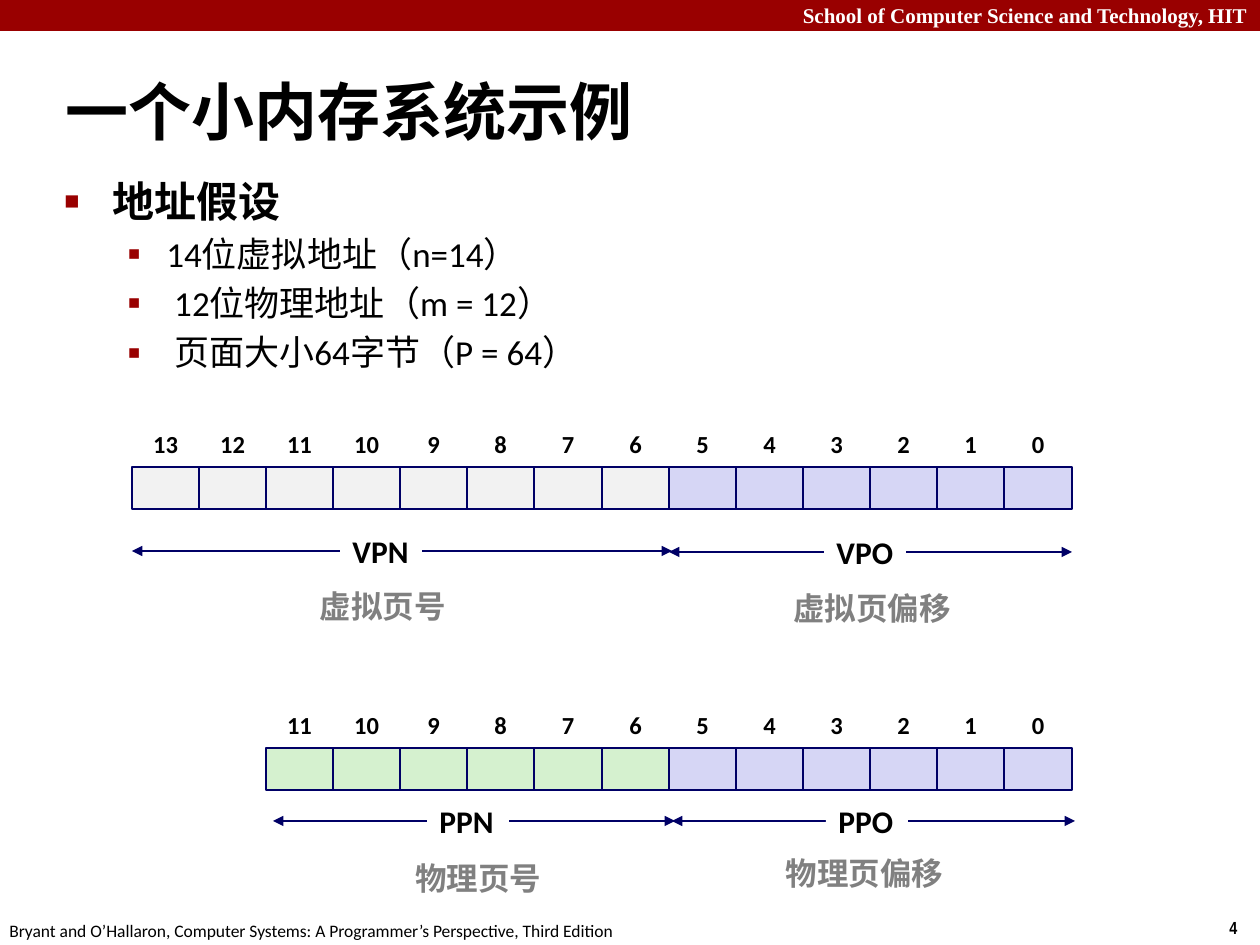
import dataclasses

import pptx
import pptx.dml.color
import pptx.enum.shapes
import pptx.enum.text
import pptx.oxml
import pptx.oxml.ns
import pptx.util

EMU_PER_PX = 914400 / 126
ALIGN = pptx.enum.text.PP_ALIGN
ANCHOR = pptx.enum.text.MSO_ANCHOR
FIT = pptx.enum.text.MSO_AUTO_SIZE


@dataclasses.dataclass(frozen=True)
class Theme:
    font: str = "Calibri"
    header_font: str = "Times New Roman"
    number_font: str = "Arial Narrow"
    red: str = "990000"
    white: str = "FFFFFF"
    ink: str = "000000"
    navy: str = "000066"
    muted: str = "808080"
    grey_cell: str = "F2F2F2"
    blue_cell: str = "D6D6F5"
    green_cell: str = "D5F1CF"
    title: int = 36
    heading: int = 24
    item: int = 20
    label: int = 18
    bit: int = 14
    header: int = 12
    footer: int = 10


def px(length):
    return pptx.util.Emu(round(length * EMU_PER_PX))


def rgb(color):
    return pptx.dml.color.RGBColor.from_string(color)


def xml(tag, **attributes):
    """Make one element of the DrawingML namespace."""
    element = pptx.oxml.parse_xml(f"<a:{tag} {pptx.oxml.ns.nsdecls('a')}/>")
    for name, value in attributes.items():
        element.set(name, str(value))
    return element


def write(para, text, *, size, color, font, bold=False, align=ALIGN.LEFT,
          before=None, spacing=None):
    para.alignment = align
    if before is not None:
        para.space_before = pptx.util.Pt(before)
    if spacing is not None:
        para.line_spacing = spacing
    span = para.add_run()
    span.text = text
    span.font.size = pptx.util.Pt(size)
    span.font.bold = bold
    span.font.name = font
    span.font.color.rgb = rgb(color)


def bullet(para, mark, percent, color, left, hang):
    """Give a paragraph a hanging bullet and space above of 20 % of a line."""
    props = para._p.get_or_add_pPr()
    props.set("marL", str(px(left)))
    props.set("indent", str(-px(hang)))
    before = xml("spcBef")
    before.append(xml("spcPct", val=20000))
    tint = xml("buClr")
    tint.append(xml("srgbClr", val=color))
    props.extend([before, tint, xml("buSzPct", val=percent * 1000),
                  xml("buFont", typeface="Arial"), xml("buChar", char=mark)])


class Painter:
    def __init__(self, page, theme):
        self.page = page
        self.theme = theme

    def rect(self, left, top, width, height, fill, line=None, shapes=None):
        shape = (shapes or self.page.shapes).add_shape(
            pptx.enum.shapes.MSO_SHAPE.RECTANGLE,
            px(left), px(top), px(width), px(height))
        shape.shadow.inherit = False
        shape.fill.solid()
        shape.fill.fore_color.rgb = rgb(fill)
        if line:
            shape.line.color.rgb = rgb(line)
            shape.line.width = pptx.util.Pt(0.75)
        else:
            shape.line.fill.background()
        return shape

    def frame(self, shape, wrap=False, fit=FIT.SHAPE_TO_FIT_TEXT, anchor=ANCHOR.TOP):
        frame = shape.text_frame
        frame.word_wrap = wrap
        frame.auto_size = fit
        frame.vertical_anchor = anchor
        return frame

    def text(self, left, top, width, height, text, *, wrap=False,
             fit=FIT.SHAPE_TO_FIT_TEXT, anchor=ANCHOR.TOP, **style):
        box = self.page.shapes.add_textbox(px(left), px(top), px(width), px(height))
        frame = self.frame(box, wrap, fit, anchor)
        write(frame.paragraphs[0], text, **{"font": self.theme.font, **style})

    def title(self, left, top, width, height, text):
        title = self.page.shapes.title
        title.left, title.top = px(left), px(top)
        title.width, title.height = px(width), px(height)
        frame = self.frame(title, True, FIT.NONE, ANCHOR.MIDDLE)
        write(frame.paragraphs[0], text, size=self.theme.title,
              color=self.theme.ink, font=self.theme.font, bold=True)

    def outline(self, left, top, width, height, heading, items):
        theme = self.theme
        box = self.page.shapes.add_textbox(px(left), px(top), px(width), px(height))
        frame = self.frame(box, True, FIT.NONE)
        para = frame.paragraphs[0]
        write(para, heading, size=theme.heading, color=theme.ink,
              font=theme.font, bold=True)
        bullet(para, "■", 60, theme.red, 48, 48)
        for item in items:
            para = frame.add_paragraph()
            para.level = 1
            write(para, item, size=theme.item, color=theme.ink, font=theme.font)
            bullet(para, "▪", 110, theme.red, 102, 39)

    def bits(self, top, count, high_fill):
        """Draw numbered bit cells; the low six bits are the page offset."""
        theme = self.theme
        for bit in reversed(range(count)):
            left, right = (132 + 940 * column // 14 for column in (13 - bit, 14 - bit))
            fill = theme.blue_cell if bit < 6 else high_fill
            self.rect(left, top, right - left, 42, fill, theme.navy)
            self.text(left, top - 42, right - left, 42, str(bit), fit=FIT.NONE,
                      anchor=ANCHOR.MIDDLE, size=theme.bit, color=theme.ink,
                      bold=True, align=ALIGN.CENTER, before=5.2, spacing=0.88)

    def span_arrow(self, start, end, y, label_left, label):
        """Draw a two-headed arrow with its label set over the line."""
        theme = self.theme
        shapes = self.page.shapes.add_group_shape().shapes
        arrow = shapes.add_connector(pptx.enum.shapes.MSO_CONNECTOR.STRAIGHT,
                                     px(start), px(y), px(end), px(y))
        arrow.line.color.rgb = rgb(theme.navy)
        arrow.line.width = pptx.util.Pt(0.75)
        arrow.line._get_or_add_ln().extend(
            xml(tag, type="triangle") for tag in ("headEnd", "tailEnd"))
        arrow._element.spPr.append(xml("effectLst"))
        box = self.rect(label_left, y - 20, 82, 45, theme.white, shapes=shapes)
        write(self.frame(box).paragraphs[0], label, size=theme.label, color=theme.ink,
              font=theme.font, bold=True, before=6.8, spacing=0.88)

    def caption(self, left, top, width, text, align=ALIGN.LEFT):
        self.text(left, top, width, 45, text, size=self.theme.label,
                  color=self.theme.muted, bold=True, align=align,
                  before=6.8, spacing=0.88)


def main():
    theme = Theme()
    deck = pptx.Presentation()
    deck.slide_width, deck.slide_height = px(1260), px(945)
    page = deck.slides.add_slide(deck.slide_layouts[5])
    paint = Painter(page, theme)

    paint.rect(0, 0, 1260, 31, theme.red)
    paint.text(1217, 911, 43, 34, "4", size=theme.footer, color=theme.ink,
               font=theme.number_font, bold=True)
    paint.text(0, -4, 1260, 38, "School of Computer Science and Technology, HIT",
               wrap=True, size=theme.header, color=theme.white,
               font=theme.header_font, bold=True, align=ALIGN.RIGHT)
    paint.text(-3, 914, 640, 34,
               "Bryant and O’Hallaron, Computer Systems: "
               "A Programmer’s Perspective, Third Edition",
               size=theme.footer, color=theme.ink)

    paint.title(53, 71, 1007, 79, "一个小内存系统示例")
    paint.outline(52, 169, 1145, 218, "地址假设",
                  ["14位虚拟地址（n=14）", " 12位物理地址（m = 12）", " 页面大小64字节（P = 64）"])

    paint.bits(467, 14, theme.grey_cell)
    paint.bits(748, 12, theme.green_cell)

    for arrow in [(669, 1072, 552, 824, "VPO"), (672, 1075, 821, 826, "PPO"),
                  (273, 675, 821, 427, "PPN"), (132, 672, 551, 340, "VPN")]:
        paint.span_arrow(*arrow)

    paint.caption(300, 586, 160, " 虚拟页号")
    paint.caption(781, 588, 185, "虚拟页偏移")
    paint.caption(403, 858, 154, "物理页号")
    paint.caption(772, 853, 185, "物理页偏移", ALIGN.CENTER)

    deck.save("out.pptx")


if __name__ == "__main__":
    main()
